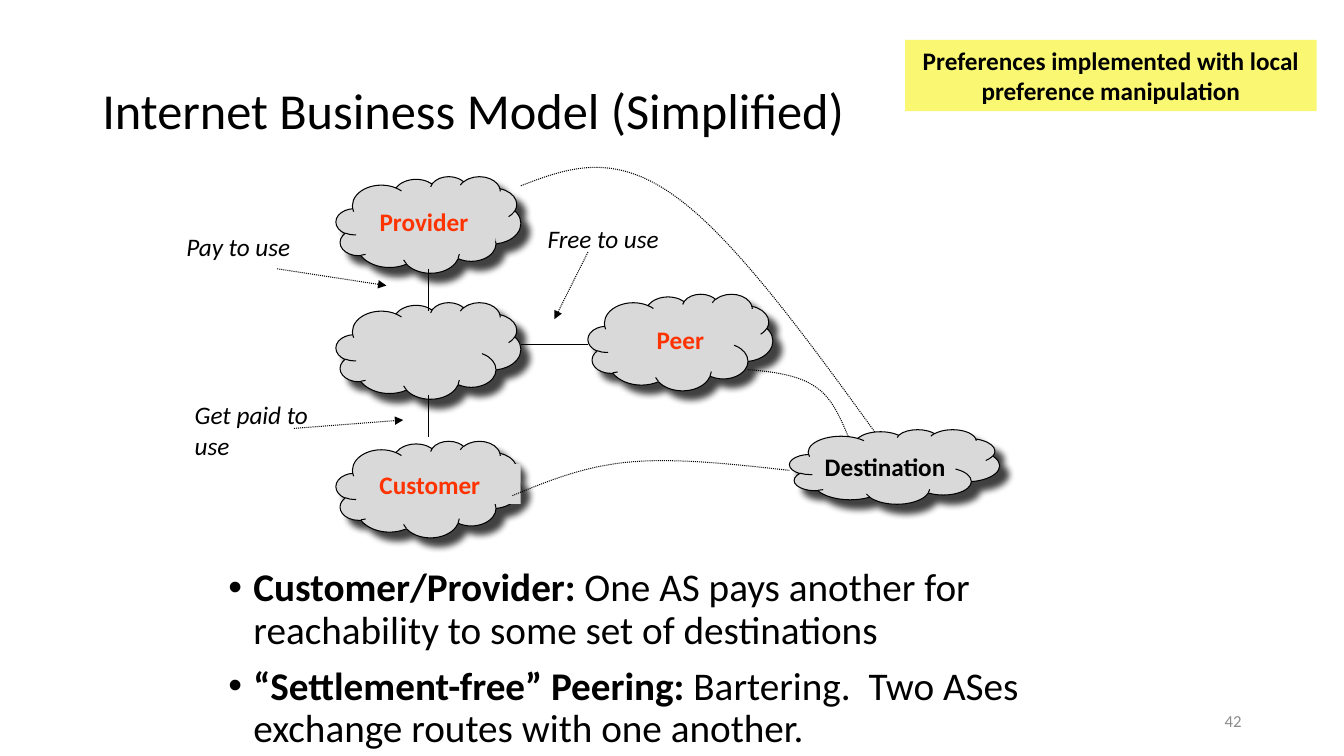
from dataclasses import dataclass
from typing import Optional

from lxml import etree
from pptx import Presentation
from pptx.dml.color import RGBColor
from pptx.enum.dml import MSO_LINE
from pptx.enum.shapes import MSO_CONNECTOR, MSO_SHAPE
from pptx.enum.text import MSO_ANCHOR, MSO_AUTO_SIZE, PP_ALIGN
from pptx.oxml.ns import qn
from pptx.util import Pt

PX = 9525
FONT = "Calibri"
BLACK = RGBColor(0x00, 0x00, 0x00)
RED = RGBColor(0xFF, 0x33, 0x00)
GREY = RGBColor(0xD9, 0xD9, 0xD9)
DIM = RGBColor(0x8C, 0x8C, 0x8C)
YELLOW = RGBColor(0xFA, 0xF7, 0x72)
CLOUD, RECT = MSO_SHAPE.CLOUD, MSO_SHAPE.RECTANGLE
STRAIGHT = MSO_CONNECTOR.STRAIGHT
DOT = MSO_LINE.ROUND_DOT
LEFT, MID, RIGHT = PP_ALIGN.LEFT, PP_ALIGN.CENTER, PP_ALIGN.RIGHT
TOP, CENTRE = MSO_ANCHOR.TOP, MSO_ANCHOR.MIDDLE
GROW = MSO_AUTO_SIZE.SHAPE_TO_FIT_TEXT


@dataclass
class Box:
    x: int
    y: int
    w: int
    h: int

    def emu(self) -> tuple[int, ...]:
        return tuple(n * PX for n in (self.x, self.y, self.w, self.h))


@dataclass
class Label:
    box: Box
    text: str
    color: RGBColor = BLACK
    fill: Optional[RGBColor] = None
    size: int = 18
    bold: bool = False
    slant: bool = False
    align: PP_ALIGN = LEFT
    anchor: MSO_ANCHOR = TOP
    space: Optional[float] = None
    grow: bool = True


@dataclass
class Link:
    start: tuple[int, int]
    end: tuple[int, int]
    arrow: bool = False


Curve = list[tuple[int, int]]

CLOUDS = [
    Box(320, 288, 176, 92),
    Box(560, 280, 176, 92),
    Box(320, 168, 176, 92),
    Box(320, 420, 176, 92),
    Box(752, 409, 200, 71),
]
LABELS = [
    Label(Box(88, 38, 1104, 139), "Internet Business Model (Simplified)",
          size=36, anchor=CENTRE, space=0.9, grow=False),
    Label(Box(904, 667, 288, 38), "42", DIM, size=12, align=RIGHT,
          anchor=CENTRE, grow=False),
    Label(Box(352, 192, 120, 38), "Provider", RED, GREY, bold=True),
    Label(Box(616, 304, 120, 38), "Peer", RED, bold=True),
    Label(Box(352, 442, 144, 38), "Customer", RED, GREY, bold=True),
    Label(Box(862, 38, 392, 68),
          "Preferences implemented with local preference manipulation",
          fill=YELLOW, bold=True, align=MID),
    Label(Box(776, 425, 168, 38), "Destination", bold=True),
    Label(Box(168, 216, 136, 38), "Pay to use", slant=True),
    Label(Box(176, 376, 136, 68), "Get paid to use", slant=True),
    Label(Box(512, 208, 160, 38), "Free to use", slant=True),
]
LINKS = [
    Link((408, 256), (408, 296)),
    Link((408, 376), (408, 416)),
    Link((496, 328), (560, 328)),
    Link((264, 256), (368, 272), True),
    Link((280, 408), (384, 400), True),
    Link((560, 240), (528, 304), True),
]
BACK: Curve = [(496, 177), (540, 160), (584, 144), (643, 187),
               (702, 229), (775, 331), (848, 432)]
FRONT: list[Curve] = [
    [(712, 352), (736, 354), (760, 357), (776, 368),
     (792, 378), (800, 397), (808, 416)],
    [(488, 472), (522, 458), (556, 444), (600, 440),
     (644, 436), (698, 442), (752, 448)],
]
NOTES = [
    ("Customer/Provider:",
     " One AS pays another for reachability to some set of destinations"),
    ("“Settlement-free” Peering: ",
     "Bartering.  Two ASes exchange routes with one another."),
]


def add_run(para, text: str, size: int, color: RGBColor,
            bold: bool = False, slant: bool = False) -> None:
    run = para.add_run()
    run.text = text
    font = run.font
    font.name, font.size = FONT, Pt(size)
    font.bold, font.italic = bold, slant
    font.color.rgb = color


def draw_cloud(shapes, box: Box) -> None:
    cloud = shapes.add_shape(CLOUD, *box.emu())
    cloud.fill.solid()
    cloud.fill.fore_color.rgb = GREY
    cloud.line.color.rgb = BLACK
    cloud.line.width = Pt(0.75)
    cloud.shadow.inherit = False
    glow = cloud._element.spPr.find(qn("a:effectLst"))
    shade = etree.SubElement(glow, qn("a:outerShdw"), blurRad=str(Pt(5)),
                             dist=str(Pt(8.5)), dir="2700000",
                             algn="ctr", rotWithShape="0")
    tint = etree.SubElement(shade, qn("a:srgbClr"), val=str(BLACK))
    etree.SubElement(tint, qn("a:alpha"), val="75000")


def draw_label(shapes, label: Label) -> None:
    if label.fill is None:
        shape = shapes.add_textbox(*label.box.emu())
    else:
        shape = shapes.add_shape(RECT, *label.box.emu())
        shape.shadow.inherit = False
        shape.fill.solid()
        shape.fill.fore_color.rgb = label.fill
        shape.line.fill.background()
    frame = shape.text_frame
    frame.word_wrap = True
    frame.vertical_anchor = label.anchor
    if label.grow:
        frame.auto_size = GROW
    para = frame.paragraphs[0]
    para.alignment = label.align
    para.line_spacing = label.space
    add_run(para, label.text, label.size, label.color, label.bold, label.slant)


def draw_link(shapes, link: Link) -> None:
    ends = [n * PX for n in link.start + link.end]
    line = shapes.add_connector(STRAIGHT, *ends)
    line.line.color.rgb = BLACK
    line.line.width = Pt(0.75)
    if link.arrow:
        line.line.dash_style = DOT
        etree.SubElement(line.line._get_or_add_ln(), qn("a:tailEnd"),
                         type="triangle")
    etree.SubElement(line._element.spPr, qn("a:effectLst"))


def draw_curve(shapes, curve: Curve) -> None:
    pen = shapes.build_freeform(*curve[0], scale=PX)
    pen.add_line_segments(curve[1:], close=False)
    shape = pen.convert_to_shape()
    shape.shadow.inherit = False
    shape.fill.background()
    shape.line.color.rgb = BLACK
    shape.line.width = Pt(0.75)
    shape.line.dash_style = DOT
    steps = list(shape._element.iter(qn("a:lnTo")))
    for i in range(0, len(steps), 3):
        bend = etree.Element(qn("a:cubicBezTo"))
        steps[i].addprevious(bend)
        for step in steps[i:i + 3]:
            bend.append(step[0])
            step.getparent().remove(step)


def draw_notes(shapes) -> None:
    frame = shapes.add_textbox(*Box(208, 536, 864, 195).emu()).text_frame
    frame.word_wrap = True
    for i, (head, rest) in enumerate(NOTES):
        para = frame.add_paragraph() if i else frame.paragraphs[0]
        props = para._p.get_or_add_pPr()
        props.set("marL", str(24 * PX))
        props.set("indent", str(-24 * PX))
        etree.SubElement(props, qn("a:buFont"), typeface="Arial")
        etree.SubElement(props, qn("a:buChar"), char="•")
        para.line_spacing = 0.9
        if i:
            para.space_before = Pt(10)
        add_run(para, head, 28, BLACK, bold=True)
        add_run(para, rest, 28, BLACK)


def main() -> None:
    deck = Presentation()
    deck.slide_width, deck.slide_height = 1280 * PX, 720 * PX
    shapes = deck.slides.add_slide(deck.slide_layouts[6]).shapes
    draw_curve(shapes, BACK)
    for box in CLOUDS:
        draw_cloud(shapes, box)
    for label in LABELS:
        draw_label(shapes, label)
    draw_notes(shapes)
    for curve in FRONT:
        draw_curve(shapes, curve)
    for link in LINKS:
        draw_link(shapes, link)
    deck.save("out.pptx")


if __name__ == "__main__":
    main()
